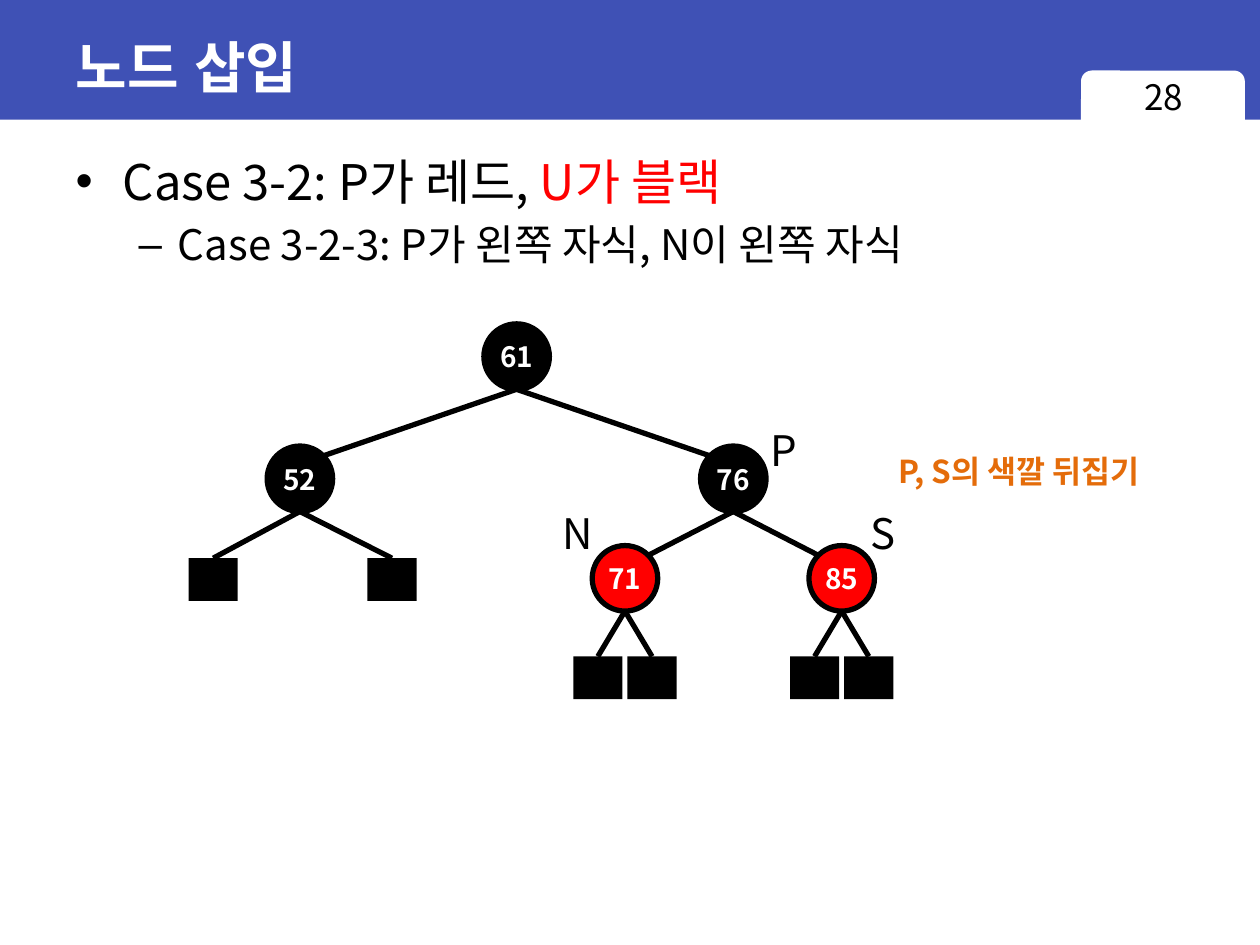
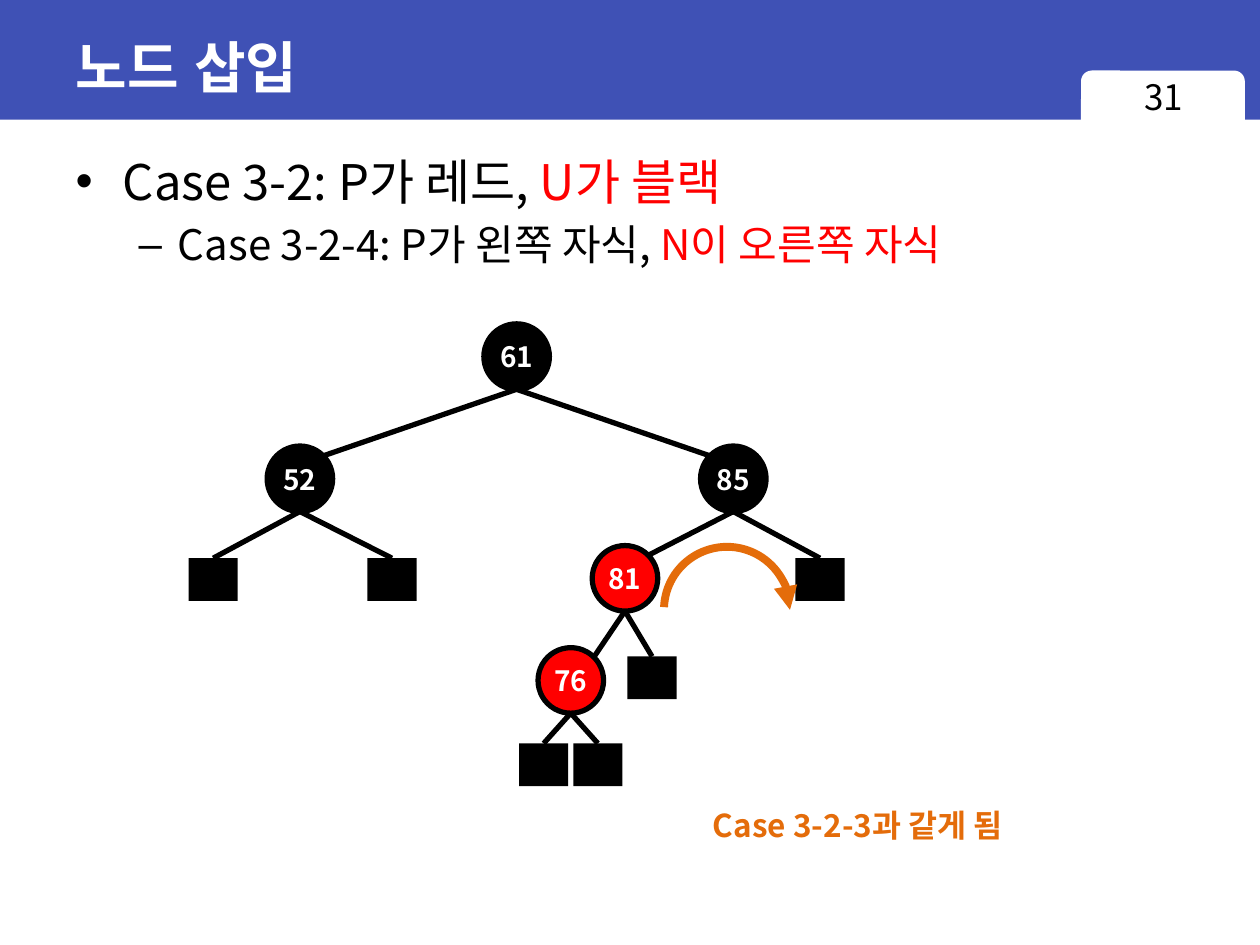
"""Builds two slides on inserting a node into a red-black tree."""
from lxml import etree
from pptx import Presentation
from pptx import util as u
from pptx.dml.color import RGBColor
from pptx.enum import shapes, text
from pptx.oxml.ns import qn

BLUE, ORANGE, RED = "3F51B5", "E46C0A", "FF0000"
BLACK, WHITE = "000000", "FFFFFF"
SANS = "Noto Sans CJK KR"
ROOT_X, COLUMN = 4.1, 0.43
NODE, LEAF_W, LEAF_H = 0.52, 0.39, 0.34
NODE_ROWS = (2.57, 3.54, 4.33, 5.14)
LEAF_ROWS = (None, None, 4.43, 5.21, 5.9)


def color(hex_code):
    return RGBColor.from_string(hex_code)


def style(paragraph, size, hex_code, bold=False, face=SANS):
    font = paragraph.font
    font.size, font.bold, font.name = u.Pt(size), bold, face
    font.color.rgb = color(hex_code)
    etree.SubElement(font._element, qn("a:ea"), typeface=face)


# Each node: value, column, row, parent, fill; a node without a value is a leaf.
shared_tree = [
    ("61", 0, 0, None, BLACK),
    ("52", -4, 1, "61", BLACK),
    (None, -5.6, 2, "52", BLACK),
    (None, -2.3, 2, "52", BLACK),
]
cases = [
    {
        "page": "28",
        "case": [("Case 3-2-3: P가 왼쪽 자식, N이 왼쪽 자식", BLACK)],
        "tree": shared_tree + [
            ("76", 4, 1, "61", BLACK),
            ("71", 2, 2, "76", RED),
            ("85", 6, 2, "76", RED),
            (None, 1.5, 3, "71", BLACK),
            (None, 2.5, 3, "71", BLACK),
            (None, 5.5, 3, "85", BLACK),
            (None, 6.5, 3, "85", BLACK),
        ],
        "labels": [
            ("S", 6.81, 3.98, 0.38, 0.5, 24, BLACK, False),
            ("P", 6.02, 3.32, 0.39, 0.5, 24, BLACK, False),
            ("N", 4.37, 3.98, 0.46, 0.5, 24, BLACK, False),
            ("P, S의 색깔 뒤집기", 7.03, 3.54, 2.3, 0.4, 18, ORANGE, True),
        ],
        "rotates": False,
    },
    {
        "page": "31",
        "case": [("Case 3-2-4: P가 왼쪽 자식, ", BLACK), ("N이 오른쪽 자식", RED)],
        "tree": shared_tree + [
            ("85", 4, 1, "61", BLACK),
            ("81", 2, 2, "85", RED),
            (None, 5.6, 2, "85", BLACK),
            ("76", 1, 3, "81", RED),
            (None, 2.5, 3, "81", BLACK),
            (None, 0.5, 4, "76", BLACK),
            (None, 1.5, 4, "76", BLACK),
        ],
        "labels": [("Case 3-2-3과 같게 됨", 5.56, 6.35, 2.68, 0.4, 18, ORANGE, True)],
        "rotates": True,
    },
]

deck = Presentation()
deck.slide_width, deck.slide_height = u.Inches(10), u.Inches(7.5)
layout = deck.slide_layouts[1]

for number, case in enumerate(cases):
    slide = deck.slides.add_slide(layout)
    drawing = slide.shapes

    if number == 0:
        frame = [
            (shapes.MSO_SHAPE.RECTANGLE, 0, 0, 10, 0.95, BLUE),
            (shapes.MSO_SHAPE.ROUNDED_RECTANGLE, 8.58, 0.56, 1.3, 0.51, WHITE),
        ]
        for depth, (preset, *box, fill) in enumerate(frame):
            band = drawing.add_shape(preset, *map(u.Inches, box))
            band.shadow.inherit = False
            band.fill.solid()
            band.fill.fore_color.rgb = color(fill)
            band.line.fill.background()
            band.element.nvSpPr.cNvPr.set("id", str(101 + depth))
            layout.shapes.element.insert(2 + depth, band.element)

    heading, outline = drawing.title, slide.placeholders[1]
    for holder, box in ((heading, (0.5, 0.11, 9, 0.83)), (outline, (0.5, 1.15, 9.38, 6.14))):
        holder.left, holder.top, holder.width, holder.height = map(u.Inches, box)
    heading.text_frame.text = "노드 삽입"
    heading.text_frame.vertical_anchor = text.MSO_ANCHOR.MIDDLE
    heading.text_frame.paragraphs[0].alignment = text.PP_ALIGN.LEFT
    style(heading.text_frame.paragraphs[0], 32, WHITE, True, "Arial")

    topic = outline.text_frame.paragraphs[0]
    topic.space_before = u.Pt(0)
    subtopic = outline.text_frame.add_paragraph()
    subtopic.level = 1
    topic_runs = [("Case 3-2: P가 레드, ", BLACK), ("U가 블랙", RED)]
    for line, size, runs in ((topic, 28, topic_runs), (subtopic, 24, case["case"])):
        style(line, size, BLACK)
        for words, hex_code in runs:
            run = line.add_run()
            run.text = words
            run.font.color.rgb = color(hex_code)

    page = drawing.add_textbox(*map(u.Inches, (8.58, 0.55, 1.31, 0.52))).text_frame
    page.word_wrap = True
    page.text = case["page"]
    page.paragraphs[0].alignment = text.PP_ALIGN.CENTER
    style(page.paragraphs[0], 20, BLACK)

    feet = {}
    for value, column, row, parent, fill in case["tree"]:
        x = ROOT_X + column * COLUMN
        y = NODE_ROWS[row] if value else LEAF_ROWS[row]
        width, height = (NODE, NODE) if value else (LEAF_W, LEAF_H)
        preset = shapes.MSO_SHAPE.OVAL if value else shapes.MSO_SHAPE.RECTANGLE
        node = drawing.add_shape(preset, *map(u.Inches, (x - width / 2, y, width, height)))
        node.shadow.inherit = False
        node.fill.solid()
        node.fill.fore_color.rgb = color(fill)
        if value:
            node.line.color.rgb = color(BLACK)
            node.line.width = u.Pt(3)
            key = node.text_frame
            key.margin_left = key.margin_right = 0
            key.vertical_anchor = text.MSO_ANCHOR.MIDDLE
            key.text = value
            key.paragraphs[0].alignment = text.PP_ALIGN.CENTER
            style(key.paragraphs[0], 16, WHITE, True)
            feet[value] = (x, y + NODE)
        else:
            node.line.fill.background()
        if parent:
            start_x, start_y = feet[parent]
            toward_parent = 1 if start_x > x else -1
            end = (x + toward_parent * 0.18, y + 0.08) if value else (x, y)
            edge = drawing.add_connector(
                shapes.MSO_CONNECTOR.STRAIGHT, *map(u.Inches, (start_x, start_y, *end)))
            edge.line.color.rgb = color(BLACK)
            edge.line.width = u.Pt(3)
            etree.SubElement(edge.element.spPr, qn("a:effectLst"))

    for words, left, top, width, height, size, hex_code, bold in case["labels"]:
        label = drawing.add_textbox(*map(u.Inches, (left, top, width, height))).text_frame
        label.word_wrap = False
        label.auto_size = text.MSO_AUTO_SIZE.SHAPE_TO_FIT_TEXT
        label.text = words
        style(label.paragraphs[0], size, hex_code, bold)

    if case["rotates"]:
        rotation = drawing.add_shape(shapes.MSO_SHAPE.ARC, *map(u.Inches, (5.27, 4.34, 1, 1)))
        rotation.shadow.inherit = False
        rotation.adjustments[0], rotation.adjustments[1] = 109.46, 0
        rotation.fill.background()
        rotation.line.color.rgb = color(ORANGE)
        rotation.line.width = u.Pt(4.5)
        etree.SubElement(rotation.line._get_or_add_ln(), qn("a:tailEnd"), type="triangle")

deck.save("out.pptx")
